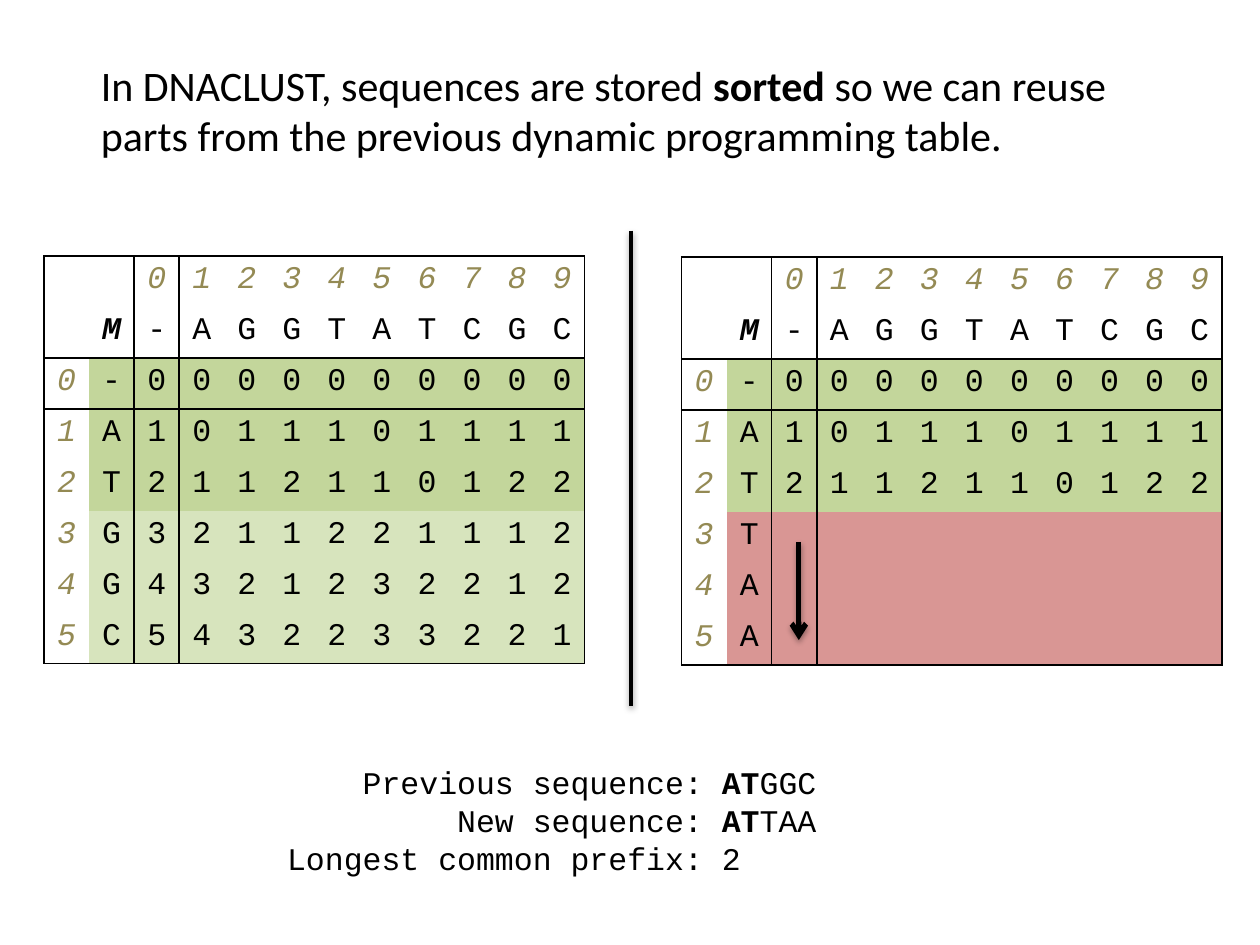
from dataclasses import dataclass

from lxml import etree
from pptx import Presentation
from pptx.dml.color import RGBColor
from pptx.enum import shapes as es, text as et
from pptx.oxml import ns
from pptx.util import Inches, Pt

MONO = "Courier New"
BLACK = "000000"
TAN = "948A54"
GREEN = "C3D69B"
PALE = "D7E4BD"
RED = "D99694"
PLAIN = "{2D5ABB26-0587-4C30-8999-92F81FD0307C}"
COLS = 12
SIDE = 4.29
TALL = 3.24
RULES_X = {0, 2, 3, 12}
RULES_Y = {0, 2, 3, 8}
SHARED = [
    "  0123456789",
    " M-AGGTATCGC",
    "0-0000000000",
    "1A1011101111",
    "2T2112110122",
]


@dataclass
class Grid:
    left: float
    top: float
    tail: list[str]
    fill: str


@dataclass
class Stroke:
    x: float
    top: float
    end: float
    width: float
    alpha: int
    drop: int
    arrow: bool = False


@dataclass
class Entry:
    indent: float
    label: str
    prefix: str
    rest: str


GRIDS = [
    Grid(0.35, 2.03, ["3G3211221112", "4G4321232212", "5C5432233221"], PALE),
    Grid(5.41, 2.04, ["3T", "4A", "5A"], RED),
]
STROKES = [
    Stroke(5.01, 1.83, 5.6, 2, 38000, 20000),
    Stroke(6.34, 4.3, 5.08, 3, 35000, 23000, True),
]
ENTRIES = [
    Entry(0.6, "Previous sequence: ", "AT", "GGC"),
    Entry(1.35, "New sequence: ", "AT", "TAA"),
    Entry(0, "Longest common prefix: 2", "", ""),
]


def color(code: str) -> RGBColor:
    return RGBColor.from_string(code)


def child(node, tag: str, **attrs):
    return etree.SubElement(node, ns.qn(tag), attrs)


def write(para, words: str, *, size: float = 18, face: str = MONO, ink: str = BLACK,
          bold: bool = False, slant: bool = False) -> None:
    run = para.add_run()
    run.text = words
    font = run.font
    font.size, font.name = Pt(size), face
    font.bold, font.italic = bold, slant
    font.color.rgb = color(ink)


def edge(props, tag: str, shown: bool) -> None:
    line = child(props, tag, w="12700" if shown else "0")
    if shown:
        child(child(line, "a:solidFill"), "a:srgbClr", val=BLACK)
    else:
        child(line, "a:noFill")


def draw_cell(cell, row: int, col: int, mark: str, fill: str) -> None:
    props = cell._tc.get_or_add_tcPr()
    edge(props, "a:lnL", col in RULES_X)
    edge(props, "a:lnR", col + 1 in RULES_X)
    edge(props, "a:lnT", row in RULES_Y)
    edge(props, "a:lnB", row + 1 in RULES_Y)
    if row > 1 and col > 0:
        cell.fill.solid()
        cell.fill.fore_color.rgb = color(fill)
    else:
        cell.fill.background()
    para = cell.text_frame.paragraphs[0]
    para.alignment = et.PP_ALIGN.CENTER
    if mark != " ":
        index = row == 0 or col == 0
        write(para, mark, ink=TAN if index else BLACK,
              bold=mark == "M", slant=index or mark == "M")


def draw_grid(slide, grid: Grid) -> None:
    lines = SHARED + grid.tail
    frame = slide.shapes.add_table(len(lines), COLS, Inches(grid.left), Inches(grid.top),
                                   Inches(SIDE), Inches(TALL))
    table = frame.table
    table.first_row = table.horz_banding = False
    next(frame._element.iter(ns.qn("a:tableStyleId"))).text = PLAIN
    for row, line in enumerate(lines):
        fill = GREEN if row < len(SHARED) else grid.fill
        for col, mark in enumerate(line.ljust(COLS)):
            draw_cell(table.cell(row, col), row, col, mark, fill)


def draw_stroke(slide, stroke: Stroke) -> None:
    x = Inches(stroke.x)
    line = slide.shapes.add_connector(es.MSO_CONNECTOR.STRAIGHT, x, Inches(stroke.top),
                                      x, Inches(stroke.end))
    line.line.width = Pt(stroke.width)
    line.line.color.rgb = color(BLACK)
    props = line._element.spPr
    if stroke.arrow:
        child(props.find(ns.qn("a:ln")), "a:tailEnd", type="arrow")
    shade = child(child(props, "a:effectLst"), "a:outerShdw", blurRad="40000",
                  dist=str(stroke.drop), dir="5400000", rotWithShape="0")
    child(child(shade, "a:srgbClr", val=BLACK), "a:alpha", val=str(stroke.alpha))


def draw_title(slide) -> None:
    title = slide.shapes.title
    title.left, title.top = Inches(0.7), Inches(0.42)
    title.width, title.height = Inches(8.44), Inches(0.91)
    frame = title.text_frame
    frame.word_wrap = True
    frame.auto_size = et.MSO_AUTO_SIZE.SHAPE_TO_FIT_TEXT
    frame.vertical_anchor = et.MSO_ANCHOR.TOP
    para = frame.paragraphs[0]
    para.alignment = et.PP_ALIGN.LEFT
    style = {"size": 24, "face": "Calibri"}
    write(para, "In DNACLUST, sequences are stored ", **style)
    write(para, "sorted", bold=True, **style)
    write(para, " so we can reuse parts from the previous dynamic programming table.", **style)


def draw_notes(slide) -> None:
    box = slide.shapes.add_textbox(Inches(2.18), Inches(6.01), Inches(5.32), Inches(1.01))
    frame = box.text_frame
    frame.word_wrap = True
    frame.auto_size = et.MSO_AUTO_SIZE.SHAPE_TO_FIT_TEXT
    for index, entry in enumerate(ENTRIES):
        para = frame.add_paragraph() if index else frame.paragraphs[0]
        props = para._p.get_or_add_pPr()
        props.set("marL", str(Inches(entry.indent)))
        props.set("indent", "0")
        write(para, entry.label)
        if entry.prefix:
            write(para, entry.prefix, bold=True)
            write(para, entry.rest)


def main() -> None:
    deck = Presentation()
    deck.slide_width, deck.slide_height = Inches(10), Inches(7.5)
    slide = deck.slides.add_slide(deck.slide_layouts[5])
    draw_notes(slide)
    draw_title(slide)
    for grid in GRIDS:
        draw_grid(slide, grid)
    for stroke in STROKES:
        draw_stroke(slide, stroke)
    deck.save("out.pptx")


if __name__ == "__main__":
    main()
